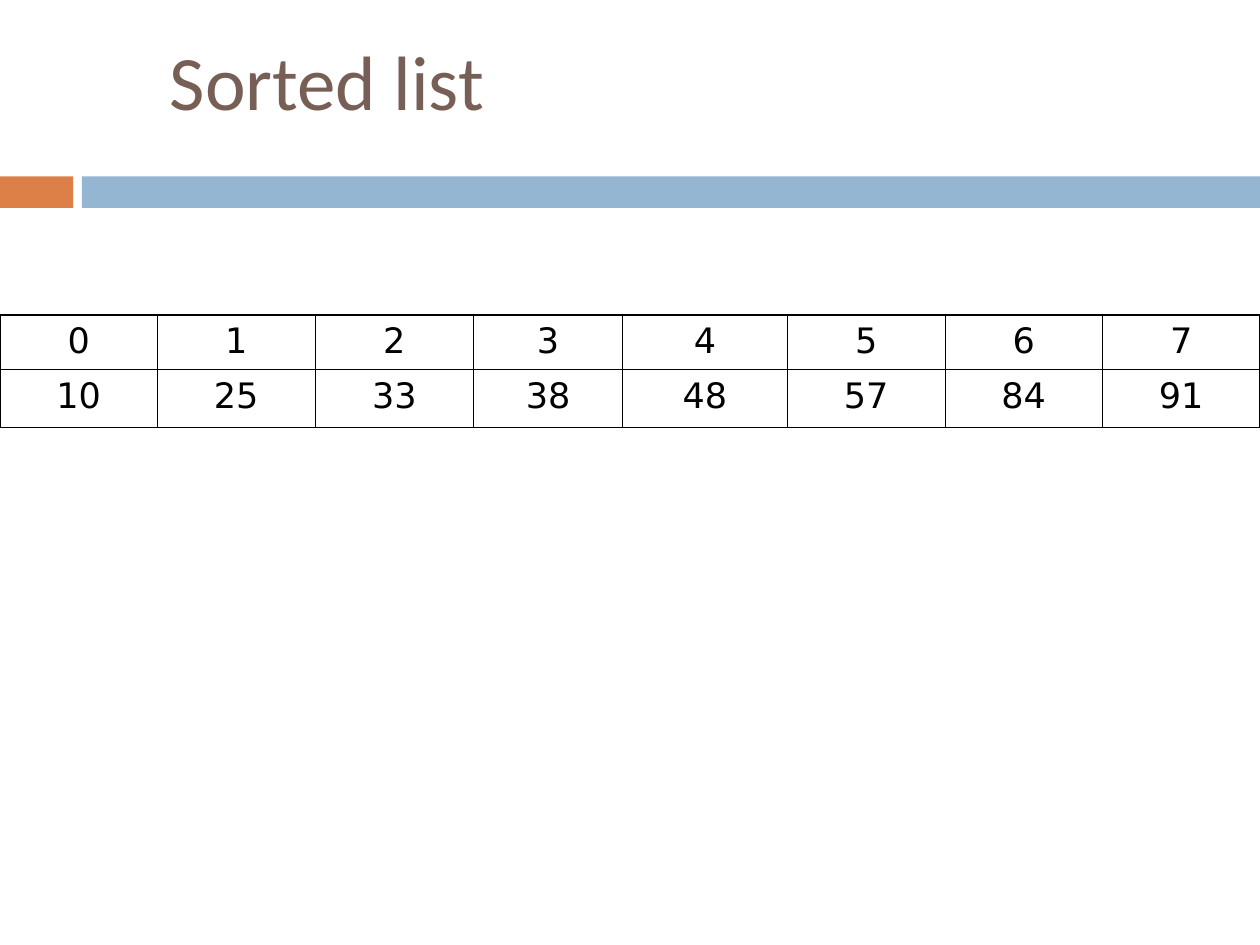
import dataclasses

import pptx
import pptx.dml.color
import pptx.enum.shapes
import pptx.enum.text
import pptx.oxml
import pptx.oxml.ns
import pptx.util


@dataclasses.dataclass(frozen=True)
class Theme:
    accent: str = "DD8047"
    band: str = "94B6D2"
    title: str = "775F55"
    ink: str = "000000"
    title_font: str = "Calibri"
    table_font: str = "DejaVu Sans"
    title_size: float = 44
    table_size: float = 20
    outer_line: float = 1.08
    inner_line: float = 0.45


theme = Theme()
inch = pptx.util.Inches
rgb = pptx.dml.color.RGBColor.from_string


def add_run(paragraph, text, font_name, size, color):
    run = paragraph.add_run()
    run.text = text
    run.font.name = font_name
    run.font.size = pptx.util.Pt(size)
    run.font.color.rgb = rgb(color)


def set_borders(cell, widths):
    """Put borders on a cell; widths are points for left, right, top, bottom."""
    properties = cell._tc.get_or_add_tcPr()
    for position, (side, width) in enumerate(zip("LRTB", widths)):
        border = pptx.oxml.parse_xml(
            f'<a:ln{side} {pptx.oxml.ns.nsdecls("a")} w="{pptx.util.Pt(width)}">'
            f'<a:solidFill><a:srgbClr val="{theme.ink}"/></a:solidFill></a:ln{side}>'
        )
        properties.insert(position, border)


prs = pptx.Presentation()
prs.slide_width, prs.slide_height = inch(10), inch(7.5)
slide = prs.slides.add_slide(prs.slide_layouts[6])

# Two-part band under the title
for left, width, color in [(0, 0.58, theme.accent), (0.65, 9.35, theme.band)]:
    bar = slide.shapes.add_shape(
        pptx.enum.shapes.MSO_SHAPE.RECTANGLE, inch(left), inch(1.4), inch(width), inch(0.25)
    )
    bar.shadow.inherit = False
    bar.fill.solid()
    bar.fill.fore_color.rgb = rgb(color)
    bar.line.fill.background()

# Title
title = slide.shapes.add_textbox(inch(1.25), inch(0.17), inch(8.53), inch(0.92)).text_frame
title.word_wrap = True
title.vertical_anchor = pptx.enum.text.MSO_ANCHOR.MIDDLE
add_run(title.paragraphs[0], "Sorted list", theme.title_font, theme.title_size, theme.title)

# Indices above the sorted values
values = [10, 25, 33, 38, 48, 57, 84, 91]
list_rows = [range(len(values)), values]
column_widths = [1.25, 1.25, 1.26, 1.18, 1.31, 1.25, 1.25, 1.25]
row_heights = [0.42, 0.46]
last_row, last_column = len(list_rows) - 1, len(values) - 1

table = slide.shapes.add_table(
    len(list_rows), len(values), 0, inch(2.5), prs.slide_width, inch(sum(row_heights))
).table
table.first_row = table.horz_banding = False
for column, width in zip(table.columns, column_widths):
    column.width = inch(width)
for row, height in zip(table.rows, row_heights):
    row.height = inch(height)

for r, numbers in enumerate(list_rows):
    for c, number in enumerate(numbers):
        cell = table.cell(r, c)
        cell.margin_left = cell.margin_right = inch(0.09)
        cell.margin_top = cell.margin_bottom = inch(0.05)
        cell.fill.background()
        on_edge = [c == 0, c == last_column, r == 0, r == last_row]
        set_borders(cell, [theme.outer_line if edge else theme.inner_line for edge in on_edge])
        paragraph = cell.text_frame.paragraphs[0]
        paragraph.alignment = pptx.enum.text.PP_ALIGN.CENTER
        add_run(paragraph, str(number), theme.table_font, theme.table_size, theme.ink)

prs.save("out.pptx")
